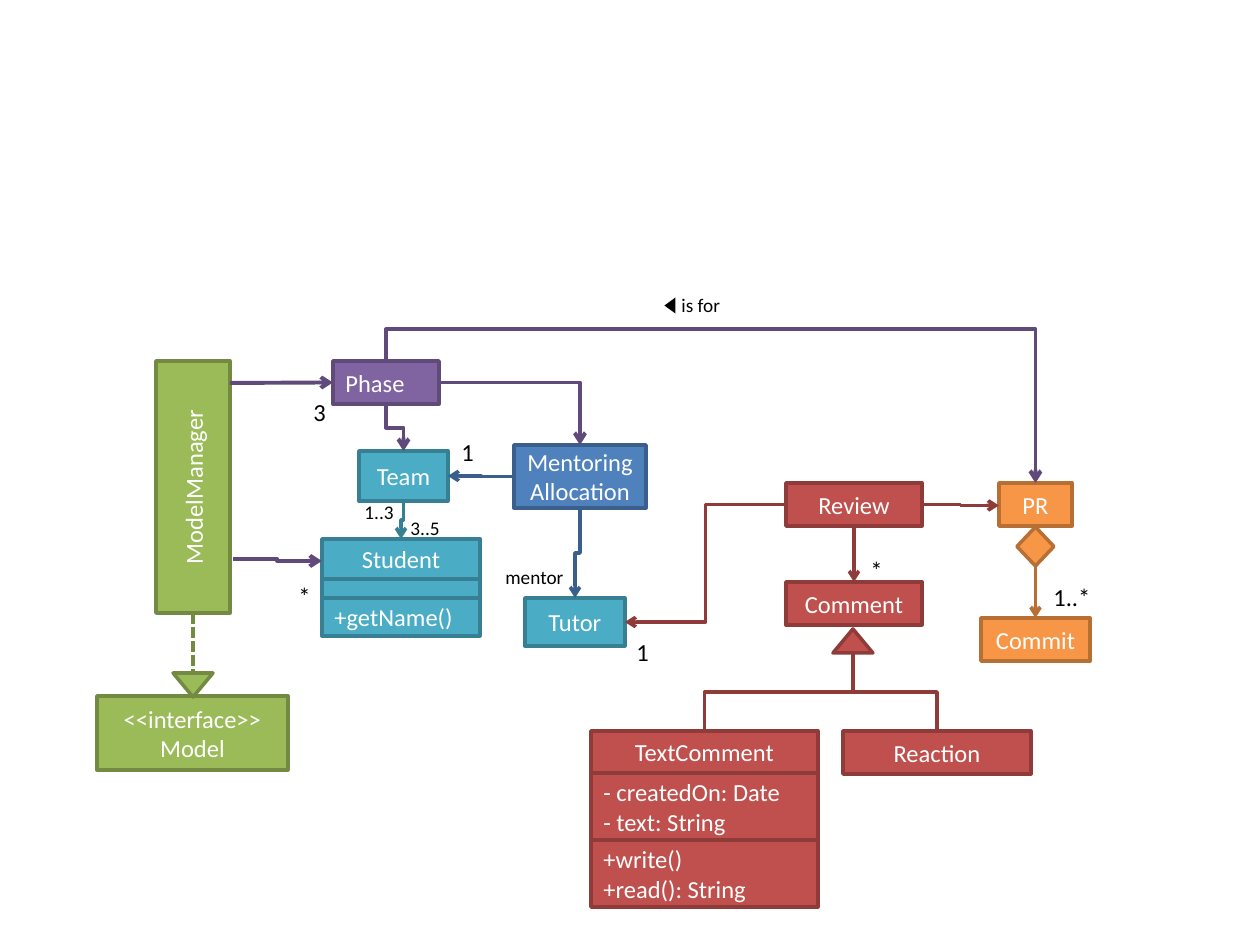
import dataclasses

import pptx
import pptx.dml.color
import pptx.enum.dml
import pptx.enum.shapes
import pptx.enum.text
import pptx.oxml
import pptx.oxml.ns
import pptx.util

SHAPES = pptx.enum.shapes.MSO_SHAPE
CONNECTORS = pptx.enum.shapes.MSO_CONNECTOR
ALIGN = pptx.enum.text.PP_ALIGN
EMU_PER_PX = 914400 / 126
TOP, LEFT, BOTTOM, RIGHT = range(4)


@dataclasses.dataclass(frozen=True)
class Theme:
    font: str = "Calibri"
    body: int = 14
    small: int = 11
    outline: float = 2
    text: str = "000000"
    box_text: str = "FFFFFF"
    fills = {"green": "9BBB59", "teal": "4BACC6", "purple": "8064A2",
             "blue": "4F81BD", "red": "C0504D", "orange": "F79646"}
    lines = {"green": "738A42", "teal": "377F92", "purple": "5F4A78",
             "blue": "3A5F8C", "red": "8E3B39", "orange": "B76F34"}
    purple_link: str = "604A7B"
    purple_link_width: float = 2.25


THEME = Theme()

# name: (colour, (left, top, width, height), lines of text, centred)
BOXES = {
    "model": ("green", (97, 696, 191, 74), ["<<interface>>\vModel"], True),
    "manager": ("green", (156, 361, 74, 252), ["ModelManager"], True),
    "phase": ("purple", (333, 361, 106, 43), ["Phase"], False),
    "team": ("teal", (359, 451, 89, 50), ["Team"], True),
    "mentoring": ("blue", (514, 445, 132, 63), ["MentoringAllocation"], True),
    "tutor": ("teal", (525, 598, 100, 48), ["Tutor"], True),
    "student": ("teal", (322, 539, 158, 40), ["Student"], True),
    "student fields": ("teal", (322, 579, 158, 19), [], False),
    "student methods": ("teal", (322, 598, 158, 38), ["+getName()"], False),
    "review": ("red", (786, 483, 136, 43), ["Review"], True),
    "comment": ("red", (786, 582, 136, 43), ["Comment"], True),
    "text comment": ("red", (591, 731, 227, 42), ["TextComment"], True),
    "text fields": ("red", (591, 773, 227, 67), ["- createdOn: Date", "- text: String"], False),
    "text methods": ("red", (591, 840, 227, 67), ["+write()", "+read(): String"], False),
    "reaction": ("red", (843, 731, 188, 43), ["Reaction"], True),
    "pr": ("orange", (999, 483, 73, 43), ["PR"], True),
    "commit": ("orange", (981, 618, 109, 43), ["Commit"], True),
}
TURNED = {"manager"}

# (preset, colour, box, rotation)
SYMBOLS = [
    (SHAPES.ISOSCELES_TRIANGLE, "green", (173, 673, 40, 24), 180),
    (SHAPES.ISOSCELES_TRIANGLE, "red", (833, 629, 40, 24), 0),
    (SHAPES.FLOWCHART_DECISION, "orange", (1017, 527, 37, 39), 0),
]

# (text, left, top, width, height, size)
LABELS = [
    ("*", 286, 575, 30, 43, THEME.body),
    ("*", 858, 549, 30, 43, THEME.body),
    ("1..*", 1041, 576, 77, 43, THEME.body),
    ("1", 449, 431, 30, 43, THEME.body),
    ("3", 301, 391, 30, 43, THEME.body),
    ("1", 624, 631, 30, 43, THEME.body),
    ("3..5", 398, 510, 72, 37, THEME.small),
    ("1..3", 352, 494, 72, 37, THEME.small),
    ("mentor", 493, 559, 87, 37, THEME.small),
]
IS_FOR_LABEL = ("is for", 669, 287, 72, 37, THEME.small)
IS_FOR_POINTER = (662, 300, 16, 11)

# (route, colour, start, end, options); an end is (box name, side) or a point
LINKS = [
    ("straight", "green", ("manager", BOTTOM), (193, 673), {"dashed": True, "arrow": False}),
    ("straight", "purple", (230, 383), ("phase", LEFT), {}),
    ("across", "purple", (233, 559), ("student", LEFT), {"end_shift": 2}),
    ("corner", "purple", ("phase", RIGHT), ("mentoring", TOP), {}),
    ("down", "purple", ("phase", BOTTOM), ("team", TOP), {}),
    ("down", "purple", ("phase", TOP), ("pr", TOP), {"bend": -0.26}),
    ("down", "teal", ("team", BOTTOM), ("student", TOP), {}),
    ("across", "blue", ("mentoring", LEFT), ("team", RIGHT), {}),
    ("down", "blue", ("mentoring", BOTTOM), ("tutor", TOP), {}),
    ("across", "red", ("review", LEFT), ("tutor", RIGHT), {}),
    ("across", "red", ("review", RIGHT), ("pr", LEFT), {"end_shift": 1}),
    ("straight", "red", ("review", BOTTOM), ("comment", TOP), {}),
    ("down", "red", ("text comment", TOP), (853, 653), {"arrow": False}),
    ("down", "red", ("reaction", TOP), (853, 653), {"arrow": False}),
    ("straight", "orange", (1035.5, 566), ("commit", TOP), {}),
]


def px(value):
    return pptx.util.Emu(round(value * EMU_PER_PX))


def rgb(value):
    return pptx.dml.color.RGBColor.from_string(value)


def write_text(shape, lines, size=THEME.body, color=THEME.text, align=ALIGN.LEFT,
               anchor=pptx.enum.text.MSO_ANCHOR.TOP):
    frame = shape.text_frame
    frame.word_wrap = True
    frame.vertical_anchor = anchor
    frame.text = "\n".join(lines)
    for paragraph in frame.paragraphs:
        paragraph.alignment = align
        for run in paragraph.runs:
            run.font.name = THEME.font
            run.font.size = pptx.util.Pt(size)
            run.font.color.rgb = rgb(color)


def add_filled(slide, preset, box, fill, line=None, rotation=0):
    shape = slide.shapes.add_shape(preset, *map(px, box))
    shape.shadow.inherit = False
    shape.rotation = rotation
    shape.fill.solid()
    shape.fill.fore_color.rgb = rgb(fill)
    if line:
        shape.line.color.rgb = rgb(line)
        shape.line.width = pptx.util.Pt(THEME.outline)
    else:
        shape.line.fill.background()
    return shape


def add_box(slide, name):
    color, (left, top, width, height), lines, centred = BOXES[name]
    rotation = 0
    if name in TURNED:
        left, top = left + (width - height) / 2, top + (height - width) / 2
        width, height, rotation = height, width, 270
    shape = add_filled(slide, SHAPES.RECTANGLE, (left, top, width, height),
                       THEME.fills[color], THEME.lines[color], rotation)
    if lines:
        write_text(shape, lines, color=THEME.box_text,
                   align=ALIGN.CENTER if centred else ALIGN.LEFT,
                   anchor=pptx.enum.text.MSO_ANCHOR.MIDDLE)
    return shape


def add_label(slide, text, left, top, width, height, size):
    shape = slide.shapes.add_textbox(*map(px, (left, top, width, height)))
    write_text(shape, [text], size=size)
    shape.text_frame.auto_size = pptx.enum.text.MSO_AUTO_SIZE.SHAPE_TO_FIT_TEXT
    return shape


def locate(end):
    """Return the point of a link's end in px."""
    if end[0] not in BOXES:
        return end
    left, top, width, height = BOXES[end[0]][1]
    across, down = {TOP: (0.5, 0), LEFT: (0, 0.5), BOTTOM: (0.5, 1), RIGHT: (1, 0.5)}[end[1]]
    return left + across * width, top + down * height


def lay_downward(connector, x1, y1, x2, y2):
    """Turn an elbow by a quarter so that it leaves its start vertically."""
    length, breadth = abs(y2 - y1), abs(x2 - x1)
    connector.left, connector.top = px((x1 + x2 - length) / 2), px((y1 + y2 - breadth) / 2)
    connector.width, connector.height = px(length), px(breadth)
    frame = connector._element.spPr.find(pptx.oxml.ns.qn("a:xfrm"))
    frame.set("rot", str((90 if y2 > y1 else 270) * 60000))
    frame.set("flipH", "0")
    frame.set("flipV", "1" if (y2 > y1) == (x2 > x1) else "0")


def add_link(slide, shapes, route, color, start, end, bend=0.5, arrow=True,
             dashed=False, end_shift=0):
    (x1, y1), (x2, y2) = locate(start), locate(end)
    y2 += end_shift
    kind = CONNECTORS.STRAIGHT if route == "straight" else CONNECTORS.ELBOW
    connector = slide.shapes.add_connector(kind, *map(px, (x1, y1, x2, y2)))
    if route == "straight":
        for target, join in ((start, connector.begin_connect), (end, connector.end_connect)):
            if target[0] in shapes:
                join(shapes[target[0]], (target[1] - (target[0] in TURNED)) % 4)
        connector.begin_x, connector.begin_y = px(x1), px(y1)
        connector.end_x, connector.end_y = px(x2), px(y2)
    properties = connector._element.spPr
    geometry = properties.find(pptx.oxml.ns.qn("a:prstGeom"))
    if route == "corner":
        geometry.set("prst", "bentConnector2")
    elif route == "down":
        lay_downward(connector, x1, y1, x2, y2)
        guide = pptx.oxml.ns.qn("a:gd")
        geometry.get_or_add_avLst().append(geometry.makeelement(
            guide, {"name": "adj1", "fmla": f"val {round(bend * 100000)}"}))
    purple = color == "purple"
    connector.line.color.rgb = rgb(THEME.purple_link if purple else THEME.lines[color])
    connector.line.width = pptx.util.Pt(THEME.purple_link_width if purple else THEME.outline)
    if dashed:
        connector.line.dash_style = pptx.enum.dml.MSO_LINE.SQUARE_DOT
    if arrow:
        line = connector.line._get_or_add_ln()
        line.append(line.makeelement(pptx.oxml.ns.qn("a:tailEnd"), {"type": "arrow"}))
    properties.append(properties.makeelement(pptx.oxml.ns.qn("a:effectLst"), {}))


def main():
    presentation = pptx.Presentation()
    presentation.slide_width, presentation.slide_height = px(1260), px(945)
    slide = presentation.slides.add_slide(presentation.slide_layouts[6])
    shapes = {name: add_box(slide, name) for name in BOXES}
    for link in LINKS:
        add_link(slide, shapes, *link[:4], **link[4])
    for preset, color, box, rotation in SYMBOLS:
        add_filled(slide, preset, box, THEME.fills[color], THEME.lines[color], rotation)
    for label in LABELS:
        add_label(slide, *label)
    is_for = add_label(slide, *IS_FOR_LABEL)
    pointer = add_filled(slide, SHAPES.ISOSCELES_TRIANGLE, IS_FOR_POINTER, THEME.text, rotation=270)
    slide.shapes.add_group_shape([is_for, pointer])
    presentation.save("out.pptx")


if __name__ == "__main__":
    main()
